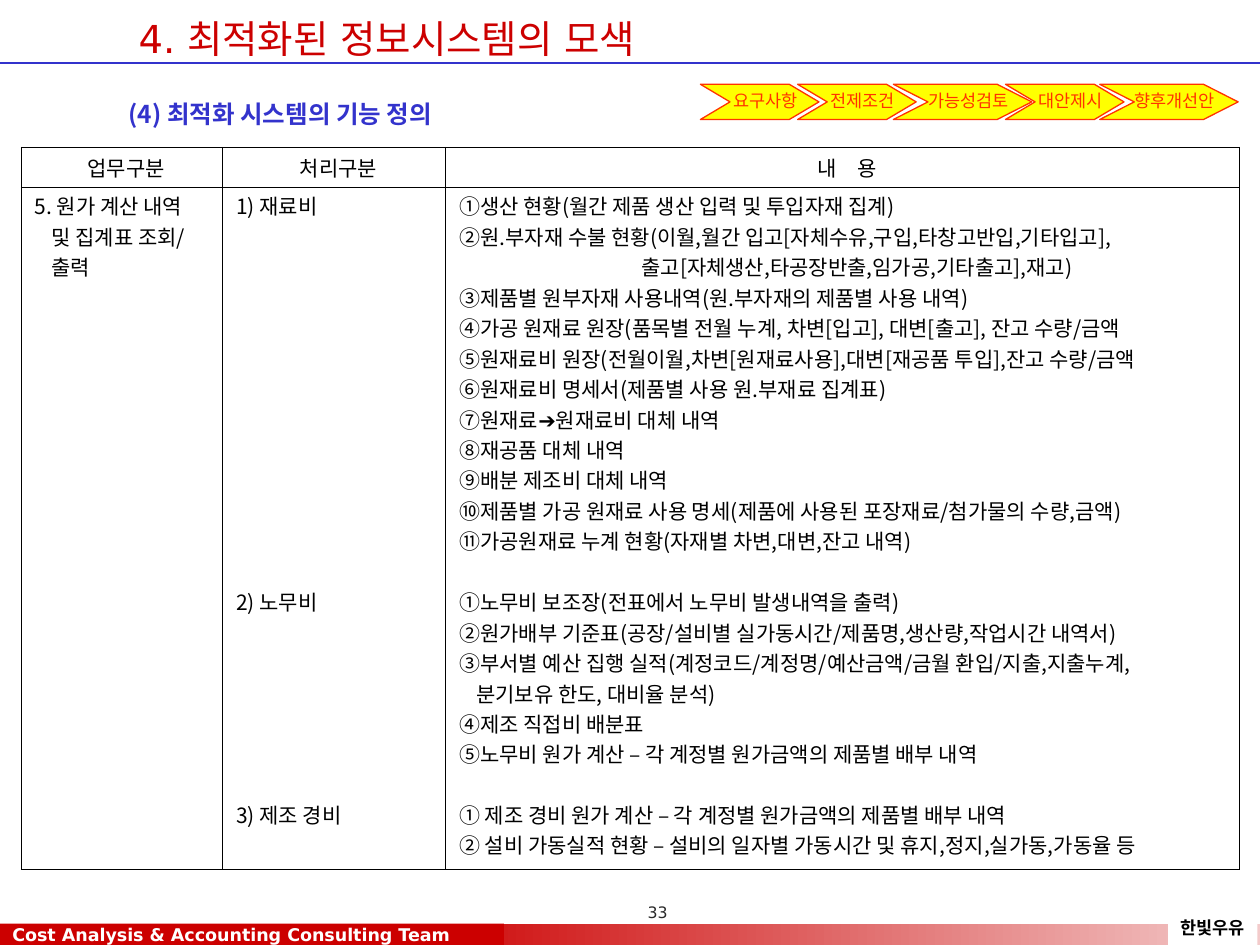
from typing import NamedTuple

from lxml import etree
from pptx import Presentation
from pptx import util as u
from pptx.dml.color import RGBColor
from pptx.enum import shapes, text
from pptx.oxml.ns import qn

COLORS = {
    "red": "CC0000", "pale": "F3CBCB", "blue": "3333CC", "black": "000000",
    "white": "FFFFFF", "yellow": "FFFF00", "orange": "FF3300", "gray": "292929",
}
KOREAN, LATIN, SYMBOL = "Noto Sans CJK KR", "DejaVu Sans", "Arial"
LEFT, CENTER = text.PP_ALIGN.LEFT, text.PP_ALIGN.CENTER


class Style(NamedTuple):
    size: float
    color: str = "black"
    font: str = KOREAN
    bold: bool = False


class Step(NamedTuple):
    label: str
    left: float
    width: float


class Line(NamedTuple):
    words: str
    indent: float = 0


class Section(NamedTuple):
    process: str
    height: float
    details: list[Line]


BODY = Style(12)
STEPS = [
    Step("요구사항", 14.12, 2.39), Step("전제조건", 16.08, 2.39),
    Step("가능성검토", 18.01, 2.79), Step("대안제시", 20.27, 2.39),
    Step("향후개선안", 22.17, 2.79),
]
HEADERS = ["업무구분", "처리구분", "내\u3000용".replace("\u3000", "　")]
TASK = [Line("5. 원가 계산 내역"), Line("및 집계표 조회/", 0.34), Line("출력", 0.34)]
SECTIONS = [
    Section("1) 재료비", 7.98, [
        Line("①생산 현황(월간 제품 생산 입력 및 투입자재 집계)"),
        Line("②원.부자재 수불 현황(이월,월간 입고[자체수유,구입,타창고반입,기타입고],"),
        Line("출고[자체생산,타공장반출,임가공,기타출고],재고)", 3.67),
        Line("③제품별 원부자재 사용내역(원.부자재의 제품별 사용 내역)"),
        Line("④가공 원재료 원장(품목별 전월 누계, 차변[입고], 대변[출고], 잔고 수량/금액"),
        Line("⑤원재료비 원장(전월이월,차변[원재료사용],대변[재공품 투입],잔고 수량/금액"),
        Line("⑥원재료비 명세서(제품별 사용 원.부재료 집계표)"),
        Line("⑦원재료➔원재료비 대체 내역"),
        Line("⑧재공품 대체 내역"),
        Line("⑨배분 제조비 대체 내역"),
        Line("⑩제품별 가공 원재료 사용 명세(제품에 사용된 포장재료/첨가물의 수량,금액)"),
        Line("⑪가공원재료 누계 현황(자재별 차변,대변,잔고 내역)"),
    ]),
    Section("2) 노무비", 4.29, [
        Line("①노무비 보조장(전표에서 노무비 발생내역을 출력)"),
        Line("②원가배부 기준표(공장/설비별 실가동시간/제품명,생산량,작업시간 내역서)"),
        Line("③부서별 예산 집행 실적(계정코드/계정명/예산금액/금월 환입/지출,지출누계,"),
        Line("분기보유 한도, 대비율 분석)", 0.34),
        Line("④제조 직접비 배분표"),
        Line("⑤노무비 원가 계산 – 각 계정별 원가금액의 제품별 배부 내역"),
    ]),
    Section("3) 제조 경비", 1.47, [
        Line("① 제조 경비 원가 계산 – 각 계정별 원가금액의 제품별 배부 내역"),
        Line("② 설비 가동실적 현황 – 설비의 일자별 가동시간 및 휴지,정지,실가동,가동율 등"),
    ]),
]


def rgb(name: str) -> RGBColor:
    return RGBColor.from_string(COLORS[name])


def add_run(paragraph, words: str, style: Style) -> None:
    run = paragraph.add_run()
    run.text = words
    run.font.size, run.font.bold = u.Pt(style.size), style.bold
    run.font.name = style.font
    run.font.color.rgb = rgb(style.color)
    etree.SubElement(run.font._element, qn("a:ea"), typeface=style.font)


def write(frame, lines: list[Line], style: Style, align=LEFT) -> None:
    for number, line in enumerate(lines):
        paragraph = frame.add_paragraph() if number else frame.paragraphs[0]
        paragraph.alignment = align
        if line.indent:
            paragraph._p.get_or_add_pPr().set("marL", str(u.Cm(line.indent)))
        before, arrow, after = line.words.partition("➔")
        add_run(paragraph, before, style)
        if arrow:
            add_run(paragraph, arrow, style._replace(font=SYMBOL))
            add_run(paragraph, after, style)


def add_label(tree, box: tuple, words: str, style: Style, align=LEFT):
    label = tree.add_textbox(*map(u.Cm, box))
    label.text_frame.word_wrap = True
    write(label.text_frame, [Line(words)], style, align)
    return label


def add_block(tree, kind, box: tuple, fill: str | None = None, line: str | None = None):
    block = tree.add_shape(kind, *map(u.Cm, box))
    block.shadow.inherit = False
    if fill:
        block.fill.solid()
        block.fill.fore_color.rgb = rgb(fill)
    if line:
        block.line.color.rgb = rgb(line)
        block.line.width = u.Pt(0.75)
    else:
        block.line.fill.background()
    block.text_frame.word_wrap = False
    block.text_frame.vertical_anchor = text.MSO_ANCHOR.MIDDLE
    return block


def add_step(tree, step: Step) -> None:
    height, notch = 0.71, step.width / 4
    chevron = add_block(tree, shapes.MSO_SHAPE.CHEVRON,
                        (step.left, 1.7, step.width, height), "yellow", "orange")
    chevron.adjustments[0] = notch / height
    frame = chevron.text_frame
    frame.margin_left, frame.margin_right = u.Cm(0.23), 0
    frame.margin_top, frame.margin_bottom = 0, u.Cm(0.05)
    write(frame, [Line(step.label)], Style(10, "orange"), CENTER)


def set_borders(cell, visible: str) -> None:
    properties = cell._tc.get_or_add_tcPr()
    for place, side in enumerate("LRTB"):
        border = etree.Element(qn(f"a:ln{side}"), w=str(u.Pt(0.75)))
        if side in visible:
            fill = etree.SubElement(border, qn("a:solidFill"))
            etree.SubElement(fill, qn("a:srgbClr"), val=COLORS["black"])
        else:
            etree.SubElement(border, qn("a:noFill"))
        properties.insert(place, border)


def add_function_table(tree) -> None:
    widths = [4.06, 4.5, 16]
    heights = [0.81] + [section.height for section in SECTIONS]
    table = tree.add_table(len(heights), len(widths), u.Cm(0.43), u.Cm(2.97),
                           u.Cm(sum(widths)), u.Cm(sum(heights))).table
    table.first_row = table.horz_banding = False
    for column, width in zip(table.columns, widths):
        column.width = u.Cm(width)
    for row, height in zip(table.rows, heights):
        row.height = u.Cm(height)
    table.cell(1, 0).merge(table.cell(len(SECTIONS), 0))

    for r, row in enumerate(table.rows):
        for cell in row.cells:
            cell.fill.background()
            cell.margin_left, cell.margin_right = u.Cm(0.27), u.Cm(0.1)
            cell.margin_top = cell.margin_bottom = u.Cm(0.06)
            top = "T" if r <= 1 else ""
            bottom = "B" if r in (0, len(SECTIONS)) or cell.is_merge_origin else ""
            set_borders(cell, "LR" + top + bottom)

    for c, header in enumerate(HEADERS):
        cell = table.cell(0, c)
        cell.vertical_anchor = text.MSO_ANCHOR.MIDDLE
        write(cell.text_frame, [Line(header)], BODY, CENTER)
    write(table.cell(1, 0).text_frame, TASK, BODY)
    for r, section in enumerate(SECTIONS, start=1):
        write(table.cell(r, 1).text_frame, [Line(section.process)], BODY)
        write(table.cell(r, 2).text_frame, section.details, BODY)


def main() -> None:
    deck = Presentation()
    deck.slide_width, deck.slide_height = u.Cm(25.4), u.Cm(19.05)
    slide = deck.slides.add_slide(deck.slide_layouts[5])
    tree = slide.shapes

    # Title, rule and subtitle
    title = tree.title
    title.left, title.top, title.width, title.height = map(u.Cm, (2.54, 0, 19.69, 1.27))
    title.text_frame.auto_size = text.MSO_AUTO_SIZE.NONE
    title.text_frame.vertical_anchor = text.MSO_ANCHOR.MIDDLE
    write(title.text_frame, [Line("4. 최적화된 정보시스템의 모색")], Style(22, "red", LATIN))
    title.text_frame.paragraphs[0].line_spacing = 1.3
    rule = tree.add_connector(shapes.MSO_CONNECTOR.STRAIGHT, 0, u.Cm(1.27),
                              deck.slide_width, u.Cm(1.27))
    rule.line.color.rgb = rgb("blue")
    rule.line.width = u.Pt(0.75)
    etree.SubElement(rule._element.spPr, qn("a:effectLst"))
    subtitle = add_label(tree, (2.34, 1.7, 11.5, 0.84), "(4) 최적화 시스템의 기능 정의",
                         Style(14, "blue", bold=True))
    subtitle.text_frame.paragraphs[0].line_spacing = 1.3

    # Progress chevrons
    progress = tree.add_group_shape().shapes
    for step in STEPS:
        add_step(progress, step)

    add_function_table(tree)

    # Footer
    rectangle = shapes.MSO_SHAPE.RECTANGLE
    fade = add_block(tree, rectangle, (7.82, 18.62, 17.58, 0.43))
    fade.fill.gradient()
    fade.fill.gradient_angle = 0
    for stop, color in zip(fade.fill.gradient_stops, ("red", "pale")):
        stop.color.rgb = rgb(color)
    team = add_block(tree, rectangle, (0, 18.62, 10.16, 0.43), "red")
    write(team.text_frame, [Line("Cost Analysis & Accounting Consulting Team")],
          Style(10, "white", LATIN, True))
    client = add_block(tree, rectangle, (23.55, 18.36, 1.8, 0.69), "white")
    write(client.text_frame, [Line("한빛우유")], Style(10, bold=True), CENTER)
    page = add_label(tree, (11.23, 18.08, 3.81, 0.64), "33", Style(9, "gray", LATIN), CENTER)
    page.text_frame.margin_right = 0

    deck.save("out.pptx")


if __name__ == "__main__":
    main()
